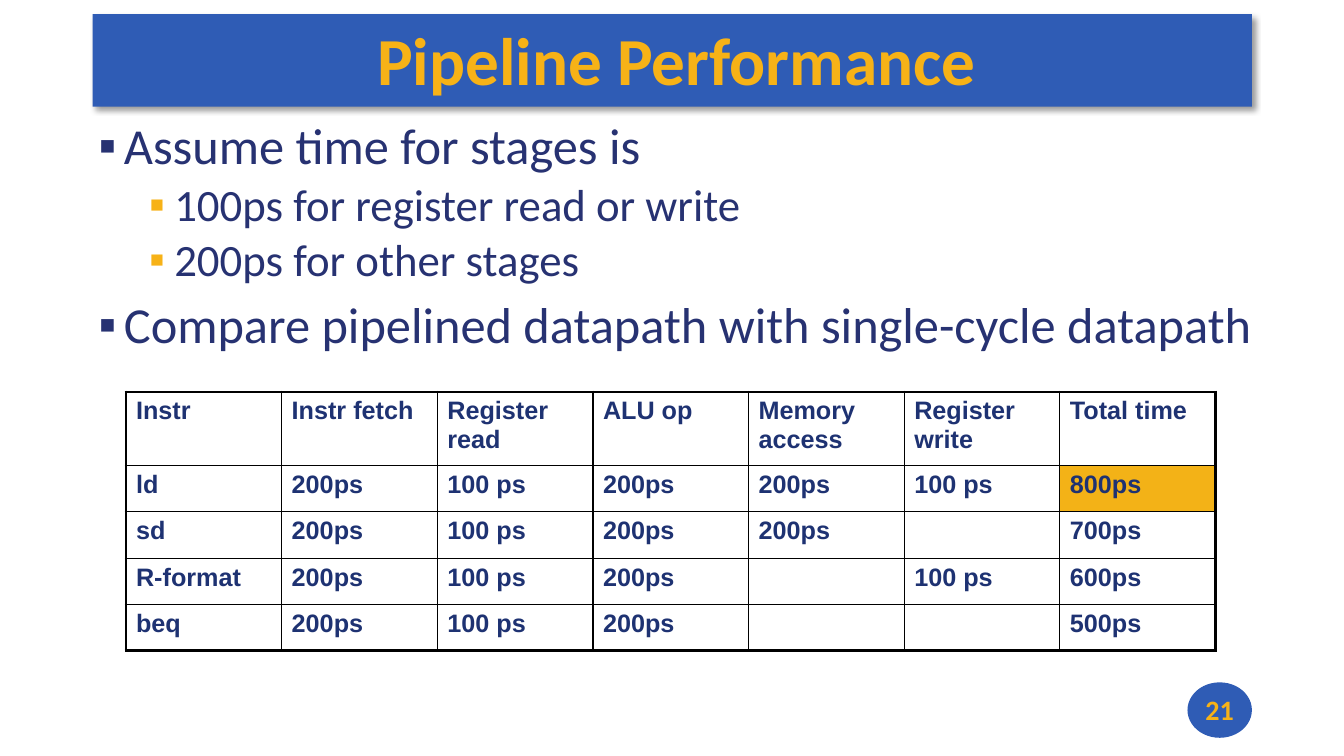
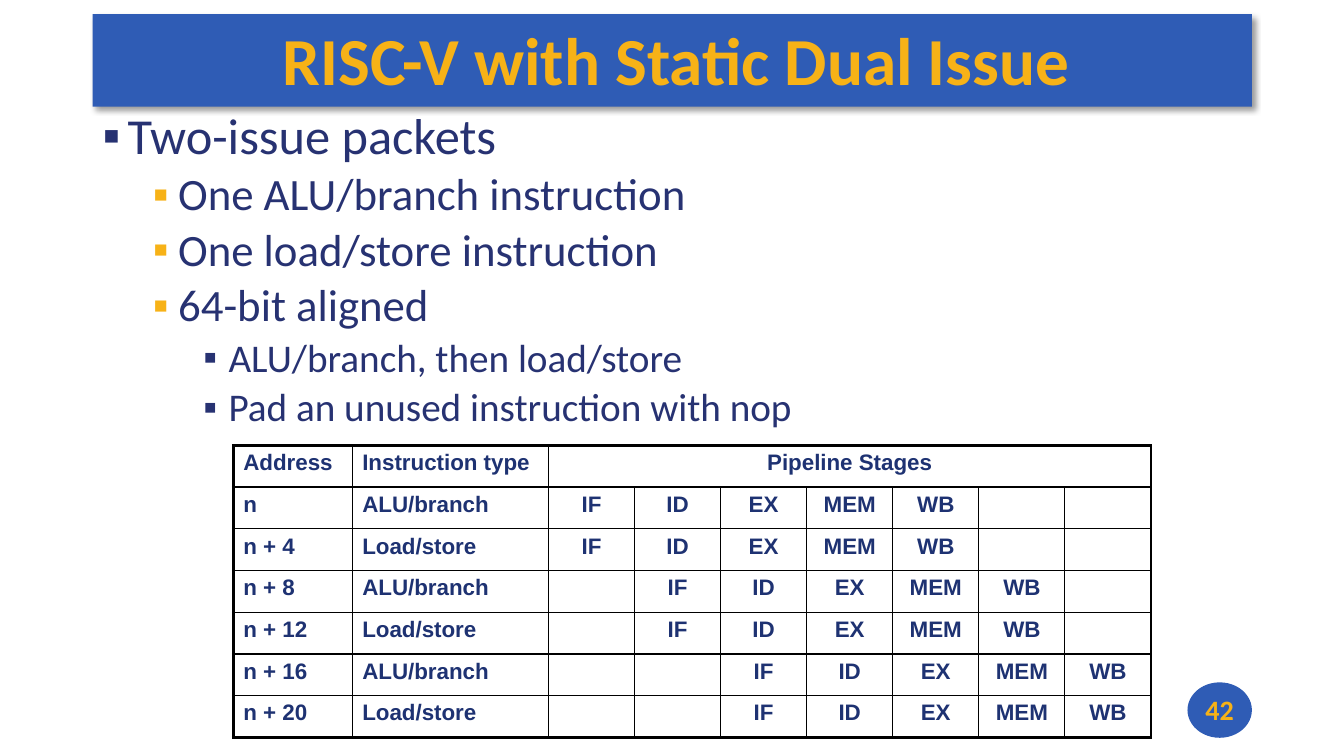
"""Build two lecture slides on processor pipelines, each with bullets and a table."""
import pptx
import pptx.dml.color
import pptx.enum.shapes
import pptx.enum.text
import pptx.oxml
import pptx.oxml.ns
import pptx.util

Pt = pptx.util.Pt
RGBColor = pptx.dml.color.RGBColor
ALIGN = pptx.enum.text.PP_ALIGN
MIDDLE = pptx.enum.text.MSO_ANCHOR.MIDDLE
NO_AUTOFIT = pptx.enum.text.MSO_AUTO_SIZE.NONE
NAMESPACE = pptx.oxml.ns.nsdecls("a")

BLUE = RGBColor(0x2F, 0x5C, 0xB5)
GOLD = RGBColor(0xF7, 0xB2, 0x17)
HIGHLIGHT = RGBColor(0xF3, 0xB2, 0x17)
BODY_NAVY = RGBColor(0x27, 0x32, 0x72)
TABLE_NAVY = RGBColor(0x1E, 0x32, 0x72)
BLACK = RGBColor(0, 0, 0)

TITLE_FONT = {"name": "Calibri", "size": Pt(48), "bold": True}
NUMBER_FONT = {"name": "Calibri", "size": Pt(20), "bold": True}
TITLE_BOX = {"left": Pt(66.2), "top": Pt(10), "width": Pt(828), "height": Pt(66.2)}
TITLE_FRAME = {
    "margin_left": Pt(6), "margin_right": Pt(0), "margin_top": Pt(2), "margin_bottom": Pt(5),
    "vertical_anchor": MIDDLE, "auto_size": NO_AUTOFIT, "word_wrap": True,
}
NUMBER_FRAME = {
    "margin_left": Pt(0), "margin_right": Pt(0), "margin_top": Pt(0), "margin_bottom": Pt(1),
    "vertical_anchor": MIDDLE, "word_wrap": False,
}
TITLE_SHADOW = (
    f'<a:effectLst {NAMESPACE}><a:outerShdw blurRad="{Pt(4)}" dist="{Pt(3)}" dir="2700000" '
    'algn="tl" rotWithShape="0"><a:srgbClr val="000000"><a:alpha val="40000"/></a:srgbClr>'
    "</a:outerShdw></a:effectLst>"
)
LEVELS = [
    {"size": 36, "indent": 18, "before": 10, "bullet": BODY_NAVY},
    {"size": 32, "indent": 54, "before": 5, "bullet": GOLD},
    {"size": 28, "indent": 90, "before": 5, "bullet": BODY_NAVY},
]
STAGES = ["IF", "ID", "EX", "MEM", "WB"]
INSTRUCTION_TYPES = ["ALU/branch", "Load/store"]

issue_rows = [["Address", "Instruction type", "Pipeline Stages"] + [""] * 6]
for position in range(6):
    delay = position // 2
    address = f"n + {4 * position}" if position else "n"
    issue_rows.append(
        [address, INSTRUCTION_TYPES[position % 2]] + [""] * delay + STAGES + [""] * (2 - delay)
    )

SLIDES = [
    {
        "title": "Pipeline Performance",
        "number": "21",
        "body_box": (63.4, 82.8, 843.8, 194.4),
        "bullets": [
            (0, "Assume time for stages is"),
            (1, "100ps for register read or write"),
            (1, "200ps for other stages"),
            (0, "Compare pipelined datapath with single-cycle datapath"),
        ],
        "table_corner": (90, 280),
        "columns": [111.2] * 7,
        "heights": [52.5] + [33.1] * 4,
        "size": 18,
        "centred_from": 7,
        "merge": None,
        "highlight": (1, 6),
        "rows": [
            ["Instr", "Instr fetch", "Register read", "ALU op", "Memory access",
             "Register write", "Total time"],
            ["ld", "200ps", "100 ps", "200ps", "200ps", "100 ps", "800ps"],
            ["sd", "200ps", "100 ps", "200ps", "200ps", "", "700ps"],
            ["R-format", "200ps", "100 ps", "200ps", "", "100 ps", "600ps"],
            ["beq", "200ps", "100 ps", "200ps", "", "", "500ps"],
        ],
    },
    {
        "title": "RISC-V with Static Dual Issue",
        "number": "42",
        "body_box": (66.2, 75.6, 828, 242.6),
        "bullets": [
            (0, "Two-issue packets"),
            (1, "One ALU/branch instruction"),
            (1, "One load/store instruction"),
            (1, "64-bit aligned"),
            (2, "ALU/branch, then load/store"),
            (2, "Pad an unused instruction with nop"),
        ],
        "table_corner": (166.6, 318.2),
        "columns": [85, 140.2] + [61.5] * 7,
        "heights": [29.8] * 7,
        "size": 16,
        "centred_from": 2,
        "merge": ((0, 2), (0, 8)),
        "highlight": None,
        "rows": issue_rows,
    },
]


def set_format(target, values):
    for name, value in values.items():
        setattr(target, name, value)


def add_run(paragraph, text, color, font_values):
    run = paragraph.add_run()
    run.text = text
    set_format(run.font, font_values)
    run.font.color.rgb = color


presentation = pptx.Presentation()
presentation.slide_width = Pt(960)
presentation.slide_height = Pt(540)

for content in SLIDES:
    slide = presentation.slides.add_slide(presentation.slide_layouts[5])

    title = slide.shapes.title
    set_format(title, TITLE_BOX)
    set_format(title.text_frame, TITLE_FRAME)
    title.fill.solid()
    title.fill.fore_color.rgb = BLUE
    title.element.spPr.append(pptx.oxml.parse_xml(TITLE_SHADOW))
    paragraph = title.text_frame.paragraphs[0]
    paragraph.alignment = ALIGN.CENTER
    add_run(paragraph, content["title"], GOLD, TITLE_FONT)

    body = slide.shapes.add_textbox(*map(Pt, content["body_box"]))
    body.text_frame.word_wrap = True
    for index, (level, text) in enumerate(content["bullets"]):
        style = LEVELS[level]
        if index:
            paragraph = body.text_frame.add_paragraph()
            paragraph.space_before = Pt(style["before"])
        else:
            paragraph = body.text_frame.paragraphs[0]
        set_format(paragraph, {"level": level, "line_spacing": 0.9})
        properties = paragraph._p.get_or_add_pPr()
        properties.set("marL", str(Pt(style["indent"])))
        properties.set("indent", str(Pt(-18)))
        for element in (
            f'<a:buClr {NAMESPACE}><a:srgbClr val="{style["bullet"]}"/></a:buClr>',
            f'<a:buFont {NAMESPACE} typeface="Arial"/>',
            f'<a:buChar {NAMESPACE} char="▪"/>',
        ):
            properties.append(pptx.oxml.parse_xml(element))
        add_run(paragraph, text, BODY_NAVY, {"name": "Calibri", "size": Pt(style["size"])})

    rows, columns, heights = content["rows"], content["columns"], content["heights"]
    table = slide.shapes.add_table(
        len(rows), len(columns), *map(Pt, content["table_corner"]), Pt(sum(columns)), Pt(sum(heights))
    ).table
    set_format(table, {"first_row": False, "horz_banding": False})
    for column, width in zip(table.columns, columns):
        column.width = Pt(width)
    for row, height in zip(table.rows, heights):
        row.height = Pt(height)
    if content["merge"]:
        first, last = content["merge"]
        table.cell(*first).merge(table.cell(*last))

    for row_index, texts in enumerate(rows):
        for column_index, text in enumerate(texts):
            cell = table.cell(row_index, column_index)
            at_right = column_index == len(columns) - 1 or cell.is_merge_origin
            borders = {
                "lnL": 1 if column_index else 2.25,
                "lnR": 2.25 if at_right else 1,
                "lnT": {0: 2.25, 1: 1.5}.get(row_index, 1),
                "lnB": {0: 1.5, len(rows) - 1: 2.25}.get(row_index, 1),
            }
            cell_properties = cell._tc.get_or_add_tcPr()
            for side, width in borders.items():
                cell_properties.append(pptx.oxml.parse_xml(
                    f'<a:{side} {NAMESPACE} w="{Pt(width)}"><a:solidFill>'
                    f'<a:srgbClr val="{BLACK}"/></a:solidFill></a:{side}>'
                ))
            if (row_index, column_index) == content["highlight"]:
                cell.fill.solid()
                cell.fill.fore_color.rgb = HIGHLIGHT
            else:
                cell.fill.background()
            if text:
                paragraph = cell.text_frame.paragraphs[0]
                centred = column_index >= content["centred_from"]
                paragraph.alignment = ALIGN.CENTER if centred else ALIGN.LEFT
                table_font = {"name": "Arial", "size": Pt(content["size"]), "bold": True}
                add_run(paragraph, text, TABLE_NAVY, table_font)

    badge = slide.shapes.add_shape(
        pptx.enum.shapes.MSO_SHAPE.OVAL, Pt(848.2), Pt(487.4), Pt(46), Pt(39.6)
    )
    badge.shadow.inherit = False
    badge.fill.solid()
    badge.fill.fore_color.rgb = BLUE
    badge.line.fill.background()
    set_format(badge.text_frame, NUMBER_FRAME)
    paragraph = badge.text_frame.paragraphs[0]
    paragraph.alignment = ALIGN.CENTER
    add_run(paragraph, content["number"], GOLD, NUMBER_FONT)

presentation.save("out.pptx")
